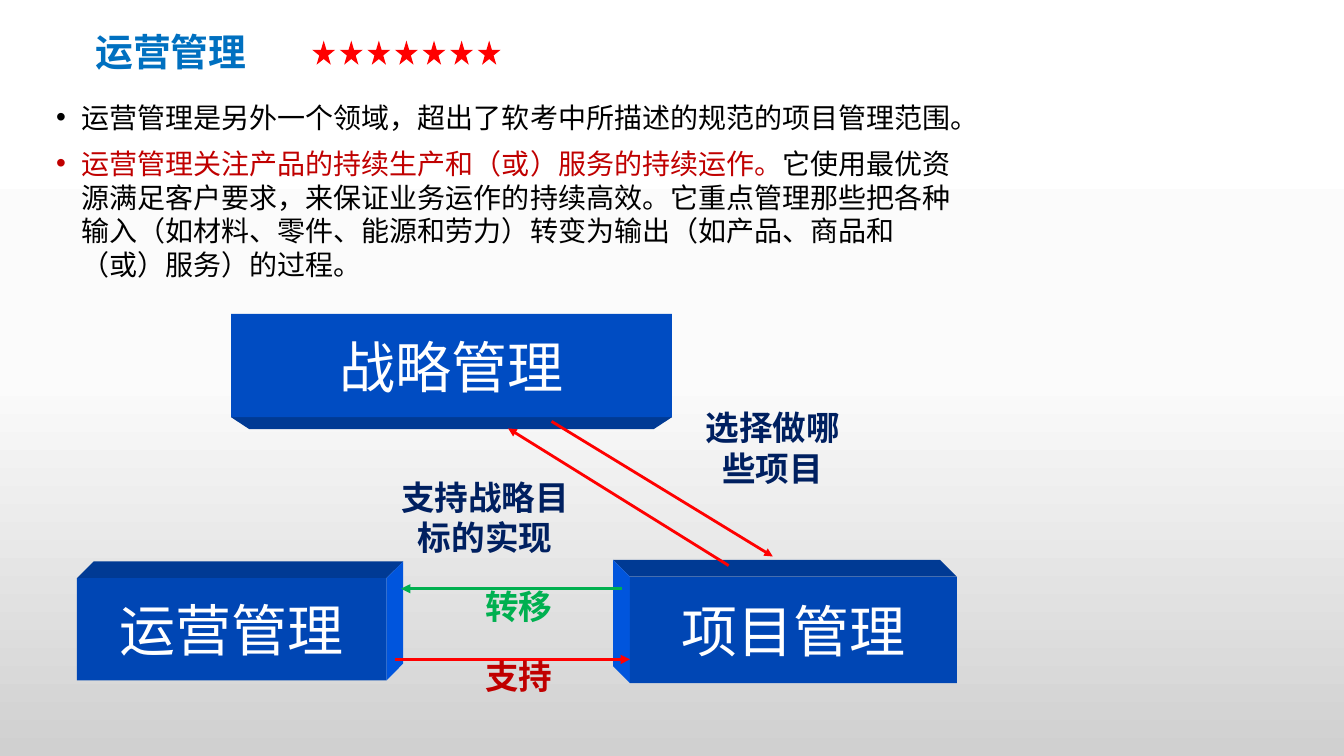
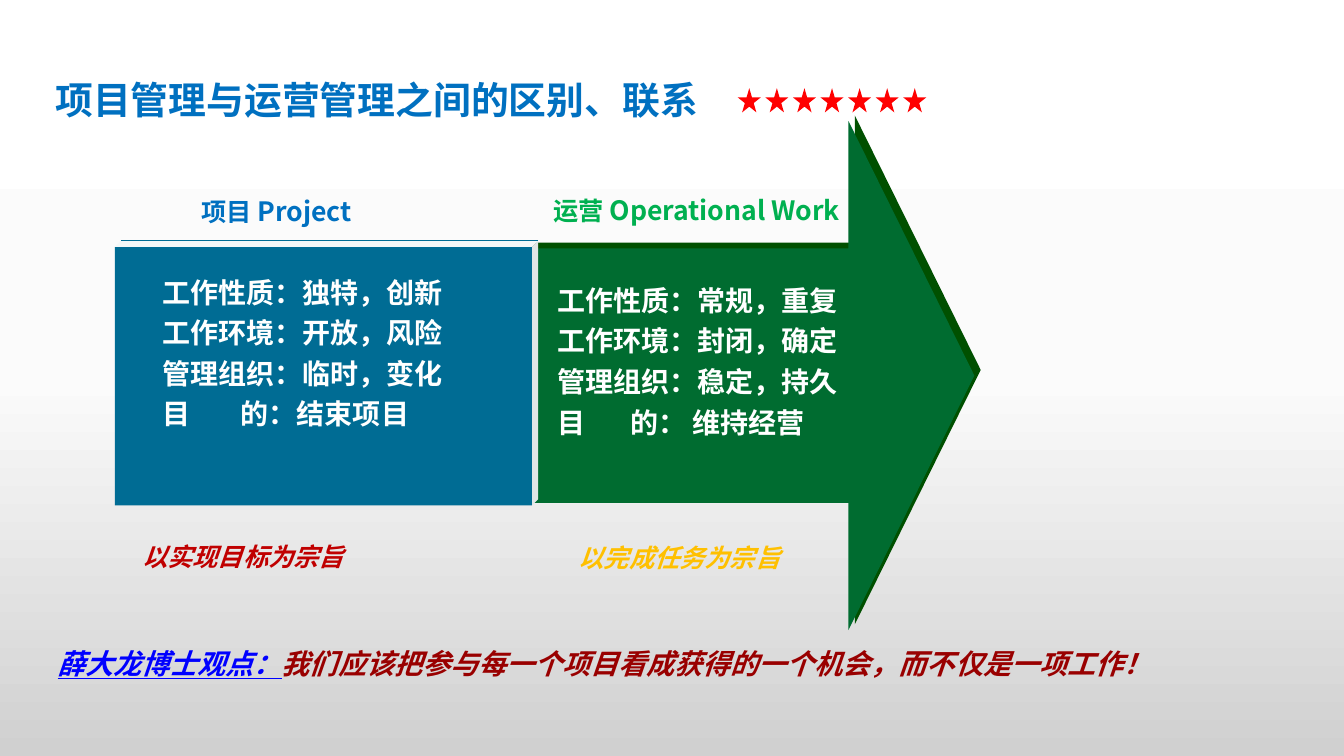
import copy

import lxml.etree
import pptx
import pptx.dml.color
import pptx.enum.shapes
import pptx.enum.text
import pptx.oxml.ns
import pptx.util

Pt = pptx.util.Pt
qn = pptx.oxml.ns.qn
SHAPE = pptx.enum.shapes.MSO_SHAPE
ALIGN = pptx.enum.text.PP_ALIGN
ANCHOR = pptx.enum.text.MSO_ANCHOR

BLUE, NAVY, GREEN = "0070C0", "002060", "00B050"
RED, CRIMSON, WHITE, BLACK = "FF0000", "C00000", "FFFFFF", "000000"
SHADE, SIDE = "003A94", "0055DD"
CJK = "Noto Sans CJK SC"


def rgb(value):
    return pptx.dml.color.RGBColor.from_string(value)


def child(parent, tag, **attributes):
    return lxml.etree.SubElement(parent, qn(tag), attributes)


class Deck:
    """Shared style and the slide being built."""

    def __init__(self):
        self.prs = pptx.Presentation()
        self.prs.slide_width, self.prs.slide_height = Pt(960), Pt(540)
        self.slide = None
        self.backdrop()

    def backdrop(self):
        master = self.prs.slide_master
        fill = master.background.fill
        fill.gradient()
        fill.gradient_angle = 270
        stops = master._element.find(".//" + qn("a:gsLst"))
        stops.insert(1, copy.deepcopy(stops[0]))
        shades = [(0, "FFFFFF"), (0.5, "FBFBFB"), (1, "D0D0D0")]
        for stop, (position, shade) in zip(fill.gradient_stops, shades):
            stop.position = position
            stop.color.rgb = rgb(shade)

    def new_slide(self, title, title_box, stars_left, stars_top):
        self.slide = self.prs.slides.add_slide(self.prs.slide_layouts[6])
        self.text(title_box, [[(title, 27, BLUE)]], font="Cambria", bold=True,
                  inset=(7.2, 3.6), anchor=ANCHOR.MIDDLE, spacing=0.9)
        for index in range(7):
            self.shape(SHAPE.STAR_5_POINT,
                       (stars_left + 19.7 * index, stars_top, 16.5, 17.3), RED)

    def paint(self, shape, color):
        shape.shadow.inherit = False
        shape.fill.solid()
        shape.fill.fore_color.rgb = rgb(color)
        shape.line.fill.background()
        return shape

    def shape(self, kind, box, color):
        return self.paint(
            self.slide.shapes.add_shape(kind, *map(Pt, box)), color)

    def face(self, corners, color):
        outline = [(Pt(x), Pt(y)) for x, y in corners]
        builder = self.slide.shapes.build_freeform(*outline[0])
        builder.add_line_segments(outline[1:], close=True)
        self.paint(builder.convert_to_shape(), color)

    def block(self, box, color, depth_x=0, depth_y=0, shade=SHADE, side=SIDE,
              label=None, taper=0):
        left, top, width, height = box
        right, bottom = left + width, top + height
        edge = top if depth_y < 0 else bottom
        self.face([(left, edge), (right, edge),
                   (right + depth_x - taper, edge + depth_y),
                   (left + depth_x + taper, edge + depth_y)], shade)
        if depth_x:
            edge = right if depth_x > 0 else left
            self.face([(edge, top), (edge + depth_x, top + depth_y),
                       (edge + depth_x, bottom + depth_y), (edge, bottom)], side)
        front = self.shape(SHAPE.RECTANGLE, box, color)
        if label:
            self.fill_frame(front.text_frame, [[(label, 40, WHITE)]],
                            align=ALIGN.CENTER, anchor=ANCHOR.MIDDLE)

    def text(self, box, paragraphs, **style):
        frame = self.slide.shapes.add_textbox(*map(Pt, box)).text_frame
        self.fill_frame(frame, paragraphs, **style)

    def fill_frame(self, frame, paragraphs, font="Arial", bold=False,
                   italic=False, align=ALIGN.LEFT, anchor=ANCHOR.TOP,
                   inset=(9.4, 5), spacing=1.0, gap=0, bullet=None, tab=None):
        frame.word_wrap = True
        frame.vertical_anchor = anchor
        frame.margin_left = frame.margin_right = Pt(inset[0])
        frame.margin_top = frame.margin_bottom = Pt(inset[1])
        for index, runs in enumerate(paragraphs):
            paragraph = frame.add_paragraph() if index else frame.paragraphs[0]
            properties = paragraph._p.get_or_add_pPr()
            if bullet:
                properties.set("marL", str(Pt(18)))
                properties.set("indent", str(-Pt(18)))
                child(properties, "a:buFont", typeface="Arial")
                child(properties, "a:buChar", char=bullet)
            if tab:
                stops = child(properties, "a:tabLst")
                child(stops, "a:tab", pos=str(Pt(tab)), algn="l")
            paragraph.alignment = align
            paragraph.line_spacing = spacing
            if index:
                paragraph.space_before = Pt(gap)
            for words, size, color, *underline in runs:
                run = paragraph.add_run()
                run.text = words
                run.font.size = Pt(size)
                run.font.name = font
                run.font.bold = bold
                run.font.italic = italic
                run.font.underline = bool(underline)
                run.font.color.rgb = rgb(color)
                child(run._r.get_or_add_rPr(), "a:ea", typeface=CJK)

    def line(self, start, end, color, width, arrow=True):
        connector = self.slide.shapes.add_connector(
            pptx.enum.shapes.MSO_CONNECTOR.STRAIGHT, *map(Pt, start + end))
        connector.line.color.rgb = rgb(color)
        connector.line.width = Pt(width)
        properties = connector._element.spPr
        if arrow:
            child(properties.find(qn("a:ln")), "a:tailEnd", type="triangle")
        child(properties, "a:effectLst")


def operations_slide(deck):
    deck.new_slide("运营管理", (61, 21.6, 274, 34.6), 223, 29)
    deck.text((33, 68, 665.5, 142), [
        [("运营管理是另外一个领域，超出了软考中所描述的规范的项目管理范围。", 20, BLACK)],
        [("运营管理关注产品的持续生产和（或）服务的持续运作。", 20, CRIMSON),
         ("它使用最优资源满足客户要求，来保证业务运作的持续高效。它重点管理那些把各种输入"
          "（如材料、零件、能源和劳力）转变为输出（如产品、商品和（或）服务）的过程。", 20, BLACK)],
    ], font=CJK, inset=(7.2, 3.6), gap=9, bullet="•")

    deck.block((165, 224.3, 315, 73.7), "004CC2", depth_y=8.5, taper=13,
               label="战略管理")
    deck.block((450, 412, 233.5, 76), "0046B4", depth_x=-12, depth_y=-12,
               label="项目管理")
    deck.block((55, 413, 221, 73), "0046B4", depth_x=12, depth_y=-12,
               label="运营管理")

    for start, end, color, width in [
        ((282, 471), (450, 471), RED, 2.25),
        ((394, 301), (552, 397.5), RED, 2),
        ((520.5, 404), (363, 306), RED, 2),
        ((444.5, 420.5), (286.5, 420.5), GREEN, 2.25),
    ]:
        deck.line(start, end, color, width)

    for words, box, color in [
        ("选择做哪些项目", (492, 286, 120, 68), NAVY),
        ("支持战略目标的实现", (274.5, 335.5, 144, 68), NAVY),
        ("支持", (310.5, 463.7, 120, 38), CRIMSON),
        ("转移", (310.5, 413.3, 120, 38), GREEN),
    ]:
        deck.text(box, [[(words, 24, color)]], bold=True, align=ALIGN.CENTER)


def comparison_slide(deck):
    deck.new_slide("项目管理与运营管理之间的区别、联系",
                   (32.4, 51, 704, 44.6), 527, 63)
    for left, top, color in [(339.5, 82.5, "005000"), (335, 86.5, "006C30")]:
        arrow = deck.shape(SHAPE.RIGHT_ARROW, (left, top, 361, 363.5), color)
        arrow.adjustments[0], arrow.adjustments[1] = 0.5, 0.249
    deck.block((82, 176.5, 298, 184.5), "006C94", depth_x=4.3, depth_y=-4.3,
               shade="F4F8F8", side="E0E6E6")
    deck.line((86.3, 172), (384.3, 172), "006C94", 0.75, arrow=False)

    for box, chinese, english, color in [
        ((70.6, 134, 254, 32), "项目 ", "Project", BLUE),
        ((299, 133.2, 397.5, 32), "运营 ", "Operational Work", GREEN),
    ]:
        deck.text(box, [[(chinese, 18, color), (english, 19, color)]],
                  font=CJK, bold=True, align=ALIGN.CENTER)

    for left, top, tab, features in [
        (106.6, 191.5, 56, ["工作性质：独特，创新", "工作环境：开放，风险",
                            "管理组织：临时，变化", "目\t的：结束项目"]),
        (388.8, 197.3, 52, ["工作性质：常规，重复", "工作环境：封闭，确定",
                            "管理组织：稳定，持久", "目\t的： 维持经营"]),
    ]:
        deck.text((left, top, 330, 143),
                  [[(feature, 20, WHITE)] for feature in features],
                  font=CJK, bold=True, gap=5, tab=tab)

    for box, purpose, color in [
        ((92.2, 381.6, 232, 32), "以实现目标为宗旨", CRIMSON),
        ((404, 382.3, 194, 32), "以完成任务为宗旨", "FFC000"),
    ]:
        deck.text(box, [[(purpose, 18, color)]], font="Calibri",
                  bold=True, italic=True)
    deck.text((31.7, 456.5, 817, 34), [[
        ("薛大龙博士观点：", 20, "0000FF", True),
        ("我们应该把参与每一个项目看成获得的一个机会，而不仅是一项工作！", 20, "990000"),
    ]], font=CJK, bold=True, italic=True)


def main():
    deck = Deck()
    operations_slide(deck)
    comparison_slide(deck)
    deck.prs.save("out.pptx")


if __name__ == "__main__":
    main()
